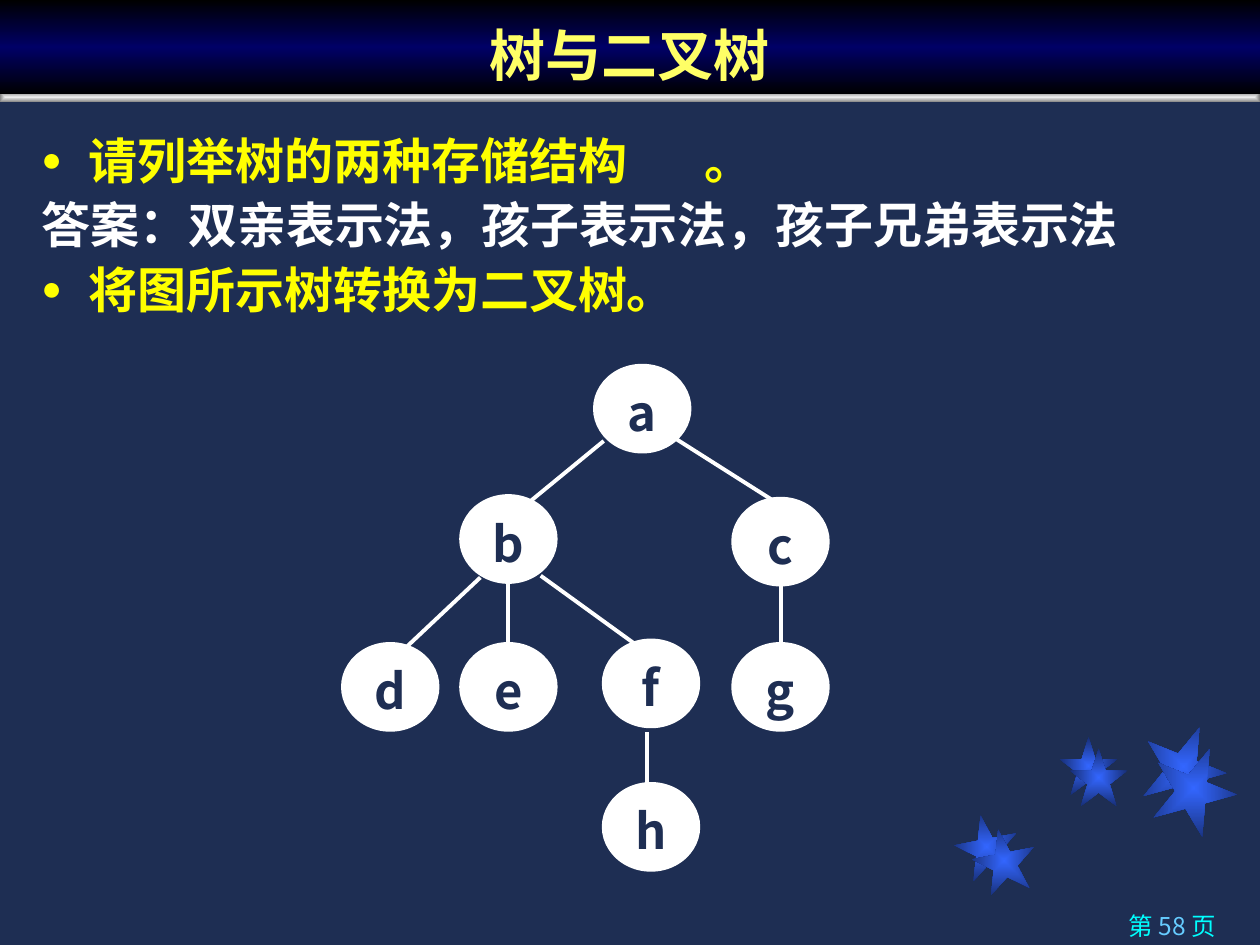
from lxml.etree import SubElement
from pptx import Presentation
from pptx.dml.color import RGBColor
from pptx.enum.shapes import MSO_CONNECTOR, MSO_SHAPE
from pptx.enum.text import MSO_ANCHOR, MSO_AUTO_SIZE, PP_ALIGN
from pptx.oxml import parse_xml
from pptx.oxml.ns import nsdecls, qn
from pptx.util import Pt

hue = RGBColor.from_string
SANS = "Noto Sans CJK SC"


def shade(shape, stops, way):
    marks = "".join(
        f'<a:gs pos="{place * 1000}"><a:srgbClr val="{tint}"/></a:gs>' for place, tint in stops
    )
    fill = parse_xml(f'<a:gradFill {nsdecls("a")} rotWithShape="1"><a:gsLst>{marks}</a:gsLst>{way}</a:gradFill>')
    shape.element.spPr.find(qn("a:prstGeom")).addnext(fill)
    shape.line.fill.background()


def write(par, text, size, tint, name=SANS, bold=True):
    run = par.add_run()
    run.text = text
    font = run.font
    font.size, font.bold, font.name = Pt(size), bold, name
    font.color.rgb = hue(tint)
    return font


deck = Presentation()
deck.slide_width, deck.slide_height = Pt(720), Pt(540)
slide = deck.slides.add_slide(deck.slide_layouts[1])
slide.background.fill.solid()
slide.background.fill.fore_color.rgb = hue("1E2E53")
shapes = slide.shapes
title, body = shapes.title, slide.placeholders[1]

box = '<a:path path="rect"><a:fillToRect l="50000" t="50000" r="50000" b="50000"/></a:path>'
stars = [
    (545.8, 465.8, 36, -11), (605.5, 421.2, 33.1, 0), (652.3, 414, 48.2, 22),
    (555.8, 473.8, 36, -11), (611.3, 427.7, 33.1, 0), (658.1, 426.2, 48.2, 22),
]
for left, top, size, turn in stars:
    star = shapes.add_shape(MSO_SHAPE.STAR_5_POINT, Pt(left), Pt(top), Pt(size), Pt(size))
    star.rotation = turn
    star.shadow.inherit = False
    shade(star, [(0, "3366FF"), (100, "182F76")], box)

bar = shapes.add_shape(MSO_SHAPE.RECTANGLE, Pt(0), Pt(52.5), Pt(720), Pt(6))
bar.shadow.inherit = False
shade(bar, [(0, "EDEDED"), (100, "808080")], box)

page = shapes.add_textbox(Pt(512.5), Pt(517), Pt(189.5), Pt(26)).text_frame
page.word_wrap = True
par = page.paragraphs[0]
par.alignment = PP_ALIGN.RIGHT
for text, tint in [("第 ", "00FFFF"), ("58 ", "66CCFF"), ("页", "00FFFF")]:
    write(par, text, 14, tint, bold=False)

for holder in (title, body):
    shapes.element.append(holder.element)
title.left, title.top, title.width, title.height = Pt(0), Pt(0), Pt(720), Pt(54)
title.element.spPr.append(parse_xml(f'<a:prstGeom {nsdecls("a")} prst="rect"><a:avLst/></a:prstGeom>'))
shade(title, [(0, "000000"), (50, "000066"), (100, "000000")], '<a:lin ang="5400000" scaled="1"/>')
frame = title.text_frame
frame.auto_size = MSO_AUTO_SIZE.NONE
frame.vertical_anchor = MSO_ANCHOR.BOTTOM
par = frame.paragraphs[0]
par.alignment = PP_ALIGN.CENTER
write(par, "树与二叉树", 32, "FFFF66")

body.left, body.top, body.width, body.height = Pt(16.5), Pt(67.5), Pt(687.5), Pt(145.5)
frame = body.text_frame
frame.auto_size = MSO_AUTO_SIZE.NONE
lines = [
    (["请列举树的两种存储结构", "\t", "。"], "FFFF00", True),
    (["答案：双亲表示法，孩子表示法，孩子兄弟表示法"], "FFFFFF", False),
    (["将图所示树转换为二叉树。"], "FFFF00", True),
]
for spot, (parts, tint, dot) in enumerate(lines):
    par = frame.paragraphs[0] if spot == 0 else frame.add_paragraph()
    par.line_spacing, par.space_before = 1.1, Pt(0)
    props = par._p.get_or_add_pPr()
    props.set("marL", str(Pt(27)))
    props.set("indent", str(Pt(-27)))
    if dot:
        tone = SubElement(props, qn("a:buClr"))
        SubElement(tone, qn("a:srgbClr"), val=tint)
        SubElement(props, qn("a:buSzPct"), val="70000")
        SubElement(props, qn("a:buFont"), typeface="Arial")
        SubElement(props, qn("a:buChar"), char="●")
    else:
        SubElement(props, qn("a:buNone"))
    if "\t" in parts:
        tabs = SubElement(props, qn("a:tabLst"))
        SubElement(tabs, qn("a:tab"), pos=str(Pt(379)), algn="l")
    for text in parts:
        write(par, text, 28, tint, "Arial").underline = text == "\t"

edges = [
    (385, 250, 446.5, 289), (345, 252, 297.5, 291), (446.5, 333, 446.5, 368),
    (274.5, 330, 232, 370), (290.5, 330.5, 290.5, 370), (309, 329, 367, 371),
    (369.5, 418.5, 369.5, 448),
]
for ends in edges:
    edge = shapes.add_connector(MSO_CONNECTOR.STRAIGHT, *map(Pt, ends))
    edge.line.color.rgb = hue("FFFFFF")
    edge.line.width = Pt(2.25)
    SubElement(edge.element.spPr, qn("a:effectLst"))

nodes = {
    "a": (340, 209), "b": (263.5, 283.5), "c": (419, 285), "d": (196, 368),
    "e": (263.5, 368), "f": (345, 366), "g": (419, 368), "h": (345, 448),
}
for name, (left, top) in nodes.items():
    node = shapes.add_shape(MSO_SHAPE.OVAL, Pt(left), Pt(top), Pt(54), Pt(49))
    node.shadow.inherit = False
    node.fill.solid()
    node.fill.fore_color.rgb = hue("FFFFFF")
    node.line.color.rgb = hue("FFFFFF")
    node.line.width = Pt(2.25)
    frame = node.text_frame
    frame.margin_left = frame.margin_right = frame.margin_bottom = Pt(0)
    frame.margin_top = Pt(4)
    frame.vertical_anchor = MSO_ANCHOR.MIDDLE
    par = frame.paragraphs[0]
    par.alignment = PP_ALIGN.CENTER
    write(par, name, 28, "1E2E53")

deck.save("out.pptx")
